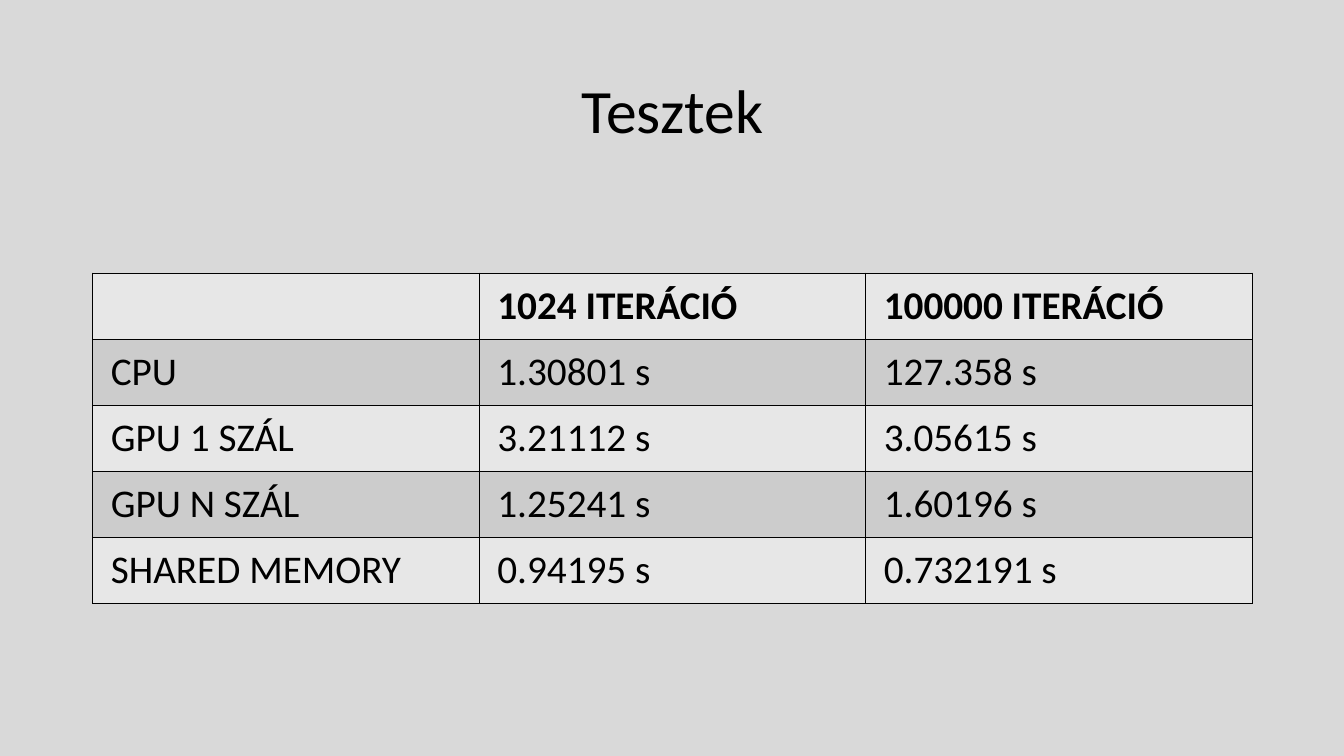
"""Build the slide with the table of test run times."""
from lxml import etree
from pptx import Presentation
from pptx.dml.color import RGBColor
from pptx.enum import text
from pptx.oxml import ns
from pptx.util import Inches, Pt

FONT = "Calibri"
COLORS = {"back": "D9D9D9", "ink": "000000", "light": "E7E7E7", "dark": "CCCCCC"}
ROWS = [
    ("", "1024 ITERÁCIÓ", "100000 ITERÁCIÓ"),
    ("CPU", "1.30801 s", "127.358 s"),
    ("GPU 1 SZÁL", "3.21112 s", "3.05615 s"),
    ("GPU N SZÁL", "1.25241 s", "1.60196 s"),
    ("SHARED MEMORY", "0.94195 s", "0.732191 s"),
]
LEFT, WIDTH = 0.92, 11.5
ROW_HEIGHT = 0.65


def paint(fill, name):
    fill.solid()
    fill.fore_color.rgb = RGBColor.from_string(COLORS[name])


def style(para, size, bold=False):
    font = para.font
    font.name, font.size, font.bold = FONT, Pt(size), bold
    font.color.rgb = RGBColor.from_string(COLORS["ink"])


def add_borders(cell):
    props = cell._tc.get_or_add_tcPr()
    for side in ("lnL", "lnR", "lnT", "lnB"):
        line = etree.SubElement(props, ns.qn(f"a:{side}"), w=str(Pt(1)))
        fill = etree.SubElement(line, ns.qn("a:solidFill"))
        etree.SubElement(fill, ns.qn("a:srgbClr"), val=COLORS["ink"])


def add_title(slide, words):
    title = slide.shapes.title
    title.left, title.top = Inches(LEFT), Inches(0.4)
    title.width, title.height = Inches(WIDTH), Inches(1.45)
    frame = title.text_frame
    frame.text = words
    frame.vertical_anchor = text.MSO_ANCHOR.MIDDLE
    para = frame.paragraphs[0]
    para.alignment = text.PP_ALIGN.CENTER
    para.line_spacing = 0.9
    style(para, 44)


def fill_cell(cell, words, shade, bold):
    cell.margin_left = cell.margin_right = Inches(0.18)
    cell.margin_top = cell.margin_bottom = Inches(0.09)
    add_borders(cell)
    paint(cell.fill, shade)
    cell.text = words
    style(cell.text_frame.paragraphs[0], 28, bold)


def add_times(slide, rows):
    frame = slide.shapes.add_table(
        len(rows), len(rows[0]), Inches(LEFT), Inches(2.71),
        Inches(WIDTH), Inches(ROW_HEIGHT * len(rows)))
    table = frame.table
    for r, row in enumerate(rows):
        shade = "dark" if r % 2 else "light"
        for c, words in enumerate(row):
            fill_cell(table.cell(r, c), words, shade, r == 0)


def main():
    deck = Presentation()
    deck.slide_width, deck.slide_height = Inches(13.33), Inches(7.5)
    slide = deck.slides.add_slide(deck.slide_layouts[5])
    paint(slide.background.fill, "back")
    add_title(slide, "Tesztek")
    add_times(slide, ROWS)
    deck.save("out.pptx")


if __name__ == "__main__":
    main()
